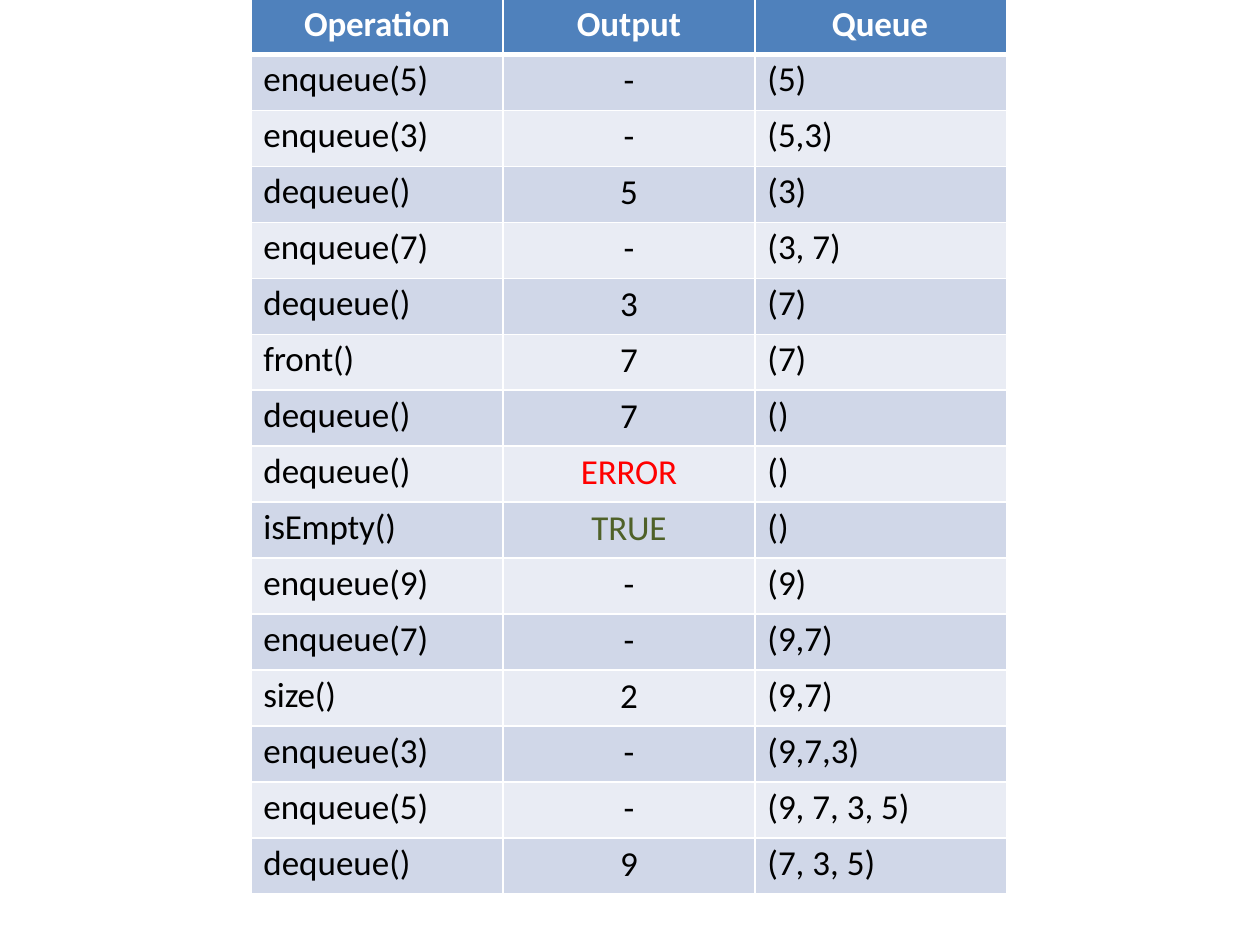
from lxml import etree
from pptx import Presentation
from pptx.dml.color import RGBColor
from pptx.enum.text import MSO_ANCHOR, PP_ALIGN
from pptx.oxml.ns import qn
from pptx.util import Cm, Pt

LEFT, CENTER = PP_ALIGN.LEFT, PP_ALIGN.CENTER
TOP = MSO_ANCHOR.TOP

WHITE, BLACK = "FFFFFF", "000000"
HEADER_FILL = "4F81BC"
BAND_FILLS = ("D0D7E8", "E9ECF4")
OUTPUT_COLORS = {"ERROR": "FF0000", "TRUE": "4F6128"}
TIGHT_WORDS = {"Operation", "Queue", "front()", "ERROR", "isEmpty()", "TRUE", "size()"}

HEADINGS = ("Operation", "Output", "Queue")
HEADING_INDENTS = (Cm(1.07), 0, Cm(1.55))
BODY_INDENTS = (Cm(0.25), 0, Cm(0.25))
STEPS = [
    ("enqueue(5)", "-", "(5)"),
    ("enqueue(3)", "-", "(5,3)"),
    ("dequeue()", "5", "(3)"),
    ("enqueue(7)", "-", "(3, 7)"),
    ("dequeue()", "3", "(7)"),
    ("front()", "7", "(7)"),
    ("dequeue()", "7", "()"),
    ("dequeue()", "ERROR", "()"),
    ("isEmpty()", "TRUE", "()"),
    ("enqueue(9)", "-", "(9)"),
    ("enqueue(7)", "-", "(9,7)"),
    ("size()", "2", "(9,7)"),
    ("enqueue(3)", "-", "(9,7,3)"),
    ("enqueue(5)", "-", "(9, 7, 3, 5)"),
    ("dequeue()", "9", "(7, 3, 5)"),
]


def rgb(value):
    return RGBColor.from_string(value)


def set_borders(cell, top, bottom):
    """Draw white cell borders; top and bottom are widths in points."""
    properties = cell._tc.get_or_add_tcPr()
    for side, width in (("L", 1), ("R", 1), ("T", top), ("B", bottom)):
        line = etree.SubElement(properties, qn(f"a:ln{side}"), w=str(Pt(width)))
        fill = etree.SubElement(line, qn("a:solidFill"))
        etree.SubElement(fill, qn("a:srgbClr"), val=WHITE)


def write_cell(cell, text, indent, centered, color, bold=False):
    cell.vertical_anchor = TOP
    cell.margin_left = cell.margin_right = cell.margin_bottom = 0
    raised = centered or bold
    cell.margin_top = Cm(0.1 if raised else 0.08)
    para = cell.text_frame.paragraphs[0]
    para.text = text
    para.alignment = CENTER if centered else LEFT
    para.space_before = Pt(2.7 if raised else 2.4)
    para._p.get_or_add_pPr().set("marL", str(indent))
    span = para.runs[0]
    span.font.name = "Calibri"
    span.font.size = Pt(20)
    span.font.bold = bold
    span.font.color.rgb = rgb(color)
    if text in TIGHT_WORDS:
        span.font._element.set("spc", "-10")


def fill_cell(cell, color):
    cell.fill.solid()
    cell.fill.fore_color.rgb = rgb(color)


def add_queue_table(page):
    rows = [HEADINGS] + STEPS
    frame = page.shapes.add_table(len(rows), len(HEADINGS),
                                  Cm(5.06), Cm(-0.03), Cm(15.24), Cm(18.06))
    table = frame.table
    table.first_row = table.horz_banding = False
    for row, texts in enumerate(rows):
        header = row == 0
        indents = HEADING_INDENTS if header else BODY_INDENTS
        for column, text in enumerate(texts):
            cell = table.cell(row, column)
            color = WHITE if header else OUTPUT_COLORS.get(text, BLACK)
            write_cell(cell, text, indents[column], column == 1, color, header)
            set_borders(cell, top=3 if row == 1 else 1, bottom=3 if header else 1)
            fill_cell(cell, HEADER_FILL if header else BAND_FILLS[(row - 1) % 2])


def main():
    deck = Presentation()
    deck.slide_width, deck.slide_height = Cm(25.4), Cm(19.05)
    page = deck.slides.add_slide(deck.slide_layouts[6])
    add_queue_table(page)
    deck.save("out.pptx")


if __name__ == "__main__":
    main()
